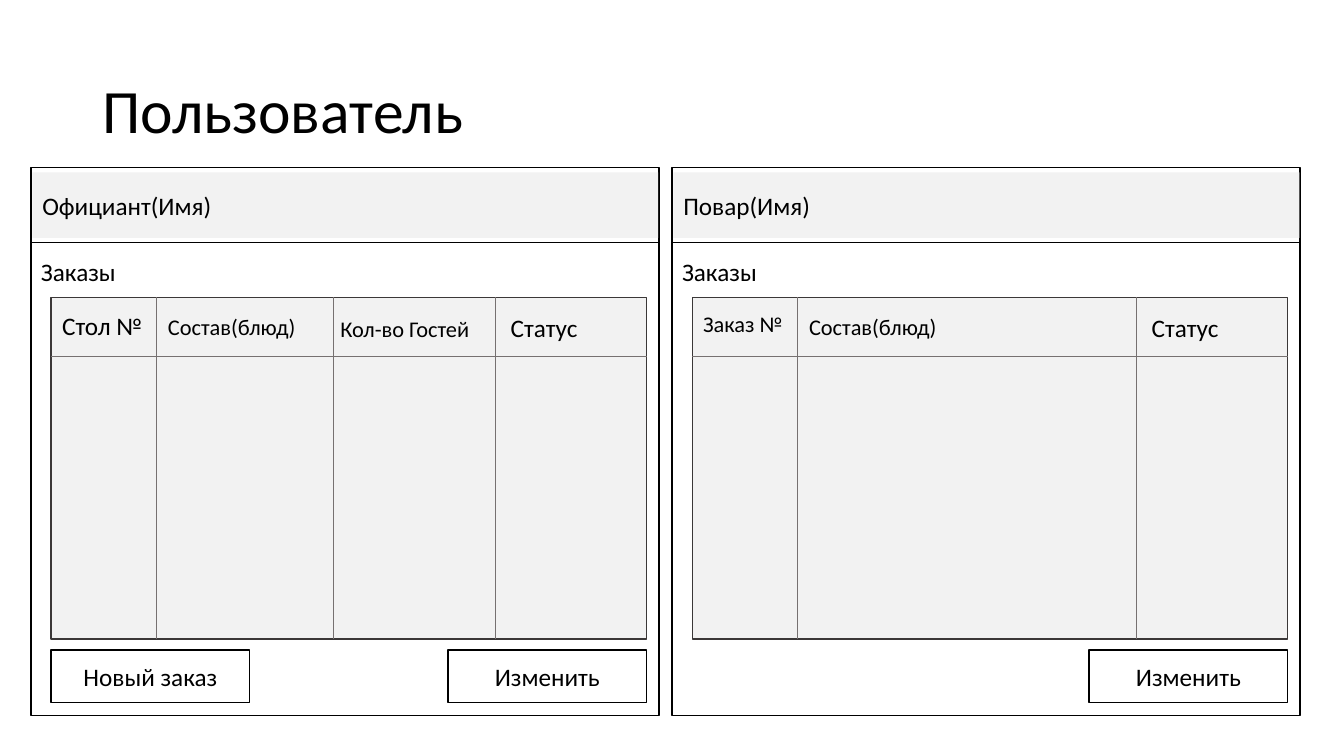
"""Build the slide with the waiter and cook order screens."""
import lxml.etree
import pptx
import pptx.dml.color
import pptx.enum.shapes
import pptx.enum.text
import pptx.oxml.ns
import pptx.util

Pt = pptx.util.Pt
RGBColor = pptx.dml.color.RGBColor
Align = pptx.enum.text.PP_ALIGN
Anchor = pptx.enum.text.MSO_ANCHOR
AutoSize = pptx.enum.text.MSO_AUTO_SIZE

BLACK = RGBColor(0x00, 0x00, 0x00)
WHITE = RGBColor(0xFF, 0xFF, 0xFF)
PALE_GREY = RGBColor(0xF2, 0xF2, 0xF2)
DARK_GREY = RGBColor(0x3B, 0x38, 0x38)
MID_GREY = RGBColor(0x76, 0x71, 0x71)

PANEL_TOP, PANEL_WIDTH, PANEL_HEIGHT = 119.5, 448.5, 391.7
HEADER_LINE_TOP = 172.8
GRID_INDENT, GRID_TOP, GRID_WIDTH, GRID_HEIGHT = 14.4, 212.4, 425.3, 244.1
GRID_ROW_TOP = 254.9
BUTTON_TOP, BUTTON_WIDTH, BUTTON_HEIGHT = 464.4, 141.8, 37.4


def add_box(shapes, box, text="", size=18, fill=None, outline=None,
            align=Align.LEFT, anchor=Anchor.MIDDLE, auto_size=AutoSize.NONE):
    lengths = [Pt(value) for value in box]
    if fill is None:
        shape = shapes.add_textbox(*lengths)
    else:
        shape = shapes.add_shape(pptx.enum.shapes.MSO_SHAPE.RECTANGLE, *lengths)
        shape.shadow.inherit = False
        shape.fill.solid()
        shape.fill.fore_color.rgb = fill
        if outline is None:
            shape.line.fill.background()
        else:
            shape.line.color.rgb = outline
            shape.line.width = Pt(1)
    if text:
        frame_format = {"word_wrap": True, "auto_size": auto_size, "vertical_anchor": anchor}
        for name, value in frame_format.items():
            setattr(shape.text_frame, name, value)
        paragraph = shape.text_frame.paragraphs[0]
        paragraph.text = text
        paragraph.alignment = align
        for name, value in {"name": "Calibri", "size": Pt(size)}.items():
            setattr(paragraph.font, name, value)
        paragraph.font.color.rgb = BLACK


def add_line(shapes, ends, color):
    connector = shapes.add_connector(
        pptx.enum.shapes.MSO_CONNECTOR.STRAIGHT, *[Pt(value) for value in ends])
    connector.line.color.rgb = color
    connector.line.width = Pt(0.5)
    properties = connector._element.spPr
    lxml.etree.SubElement(properties, pptx.oxml.ns.qn("a:effectLst"))


presentation = pptx.Presentation()
presentation.slide_width = Pt(960)
presentation.slide_height = Pt(540)
slide = presentation.slides.add_slide(presentation.slide_layouts[5])

title = slide.shapes.title
title_place = {"left": Pt(66), "top": Pt(28.8), "width": Pt(828), "height": Pt(104.4)}
for name, value in title_place.items():
    setattr(title, name, value)
title.text_frame.text = "Пользователь"
title.text_frame.auto_size = AutoSize.NONE
title.text_frame.vertical_anchor = Anchor.MIDDLE
title_paragraph = title.text_frame.paragraphs[0]
title_paragraph.alignment = Align.LEFT
title_paragraph.line_spacing = 0.9
for name, value in {"name": "Calibri", "size": Pt(44)}.items():
    setattr(title_paragraph.font, name, value)
title_paragraph.font.color.rgb = BLACK

composition = ("Состав(блюд)", 90.7, 220.3, 125.3, 16)
status = ("Статус", 335.5, 219.6, 74.9, 18)
change_button = ("Изменить", GRID_INDENT + GRID_WIDTH - BUTTON_WIDTH)
panels = [
    {
        "left": 22.2,
        "role": "Официант(Имя)",
        "dividers": [89.3, 215.6, 331.4],
        "headings": [("Стол №", 15.1, 218.2, 74.9, 18), composition,
                     ("Кол-во Гостей", 213.8, 221.8, 113, 16), status],
        "buttons": [change_button, ("Новый заказ", GRID_INDENT)],
    },
    {
        "left": 480.1,
        "role": "Повар(Имя)",
        "dividers": [89.3, 331.4],
        "headings": [("Заказ №", 15.1, 218.2, 74.9, 16), composition, status],
        "buttons": [change_button],
    },
]

for panel in panels:
    shapes = slide.shapes.add_group_shape().shapes
    left = panel["left"]
    grid_left = left + GRID_INDENT
    add_box(shapes, (left, PANEL_TOP, PANEL_WIDTH, PANEL_HEIGHT), fill=WHITE, outline=BLACK)
    add_line(shapes, (left, HEADER_LINE_TOP, left + PANEL_WIDTH, HEADER_LINE_TOP), BLACK)
    add_box(shapes, (left, 175, 141.8, 37.4), "Заказы")
    add_box(shapes, (left + 0.9, 123.1, 447.1, 46.8), panel["role"], fill=PALE_GREY)

    add_box(shapes, (grid_left, GRID_TOP, GRID_WIDTH, GRID_HEIGHT),
            fill=PALE_GREY, outline=DARK_GREY)
    for offset in panel["dividers"]:
        add_line(shapes, (left + offset, GRID_TOP, left + offset, GRID_TOP + GRID_HEIGHT), MID_GREY)
    add_line(shapes, (grid_left, GRID_ROW_TOP, grid_left + GRID_WIDTH, GRID_ROW_TOP), MID_GREY)

    for text, offset, top, width, size in panel["headings"]:
        add_box(shapes, (left + offset, top, width, 1.2 * size + 7.2), text, size,
                anchor=Anchor.TOP, auto_size=AutoSize.SHAPE_TO_FIT_TEXT)
    for text, offset in panel["buttons"]:
        add_box(shapes, (left + offset, BUTTON_TOP, BUTTON_WIDTH, BUTTON_HEIGHT), text,
                fill=WHITE, outline=BLACK, align=Align.CENTER)

presentation.save("out.pptx")
